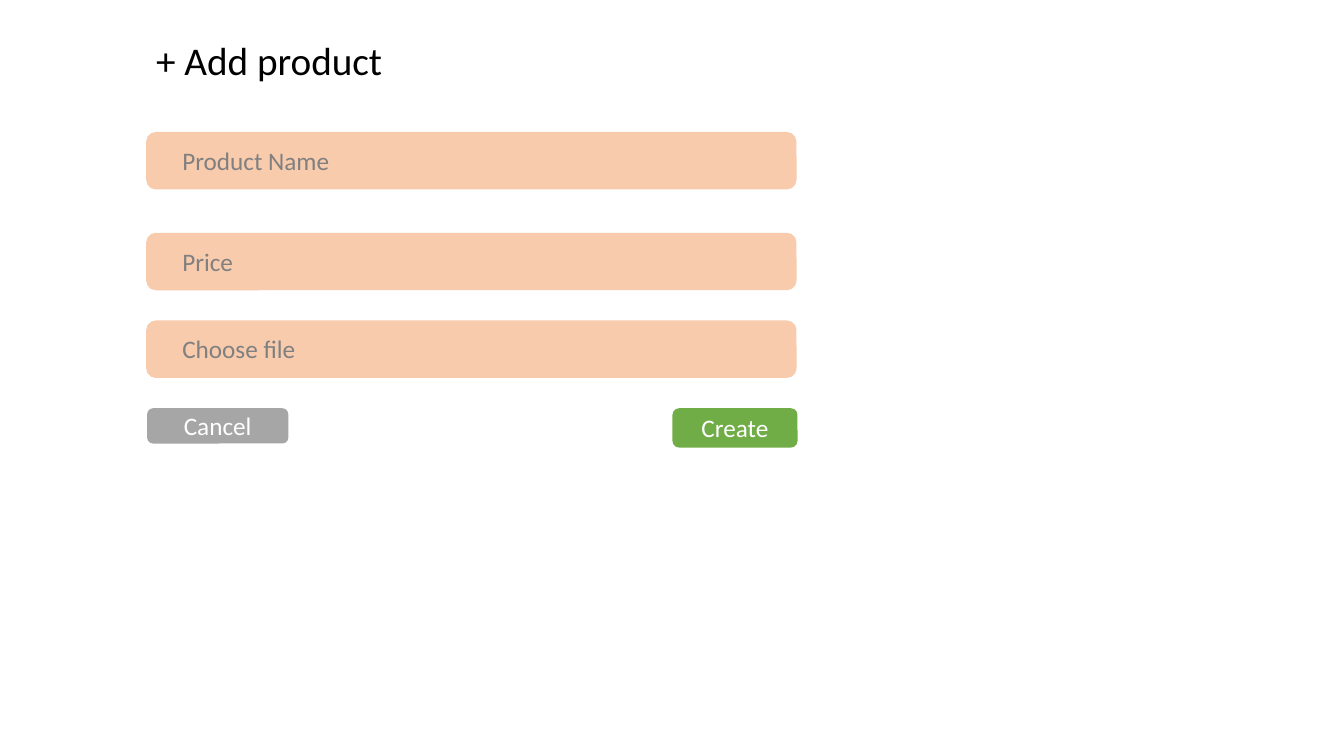
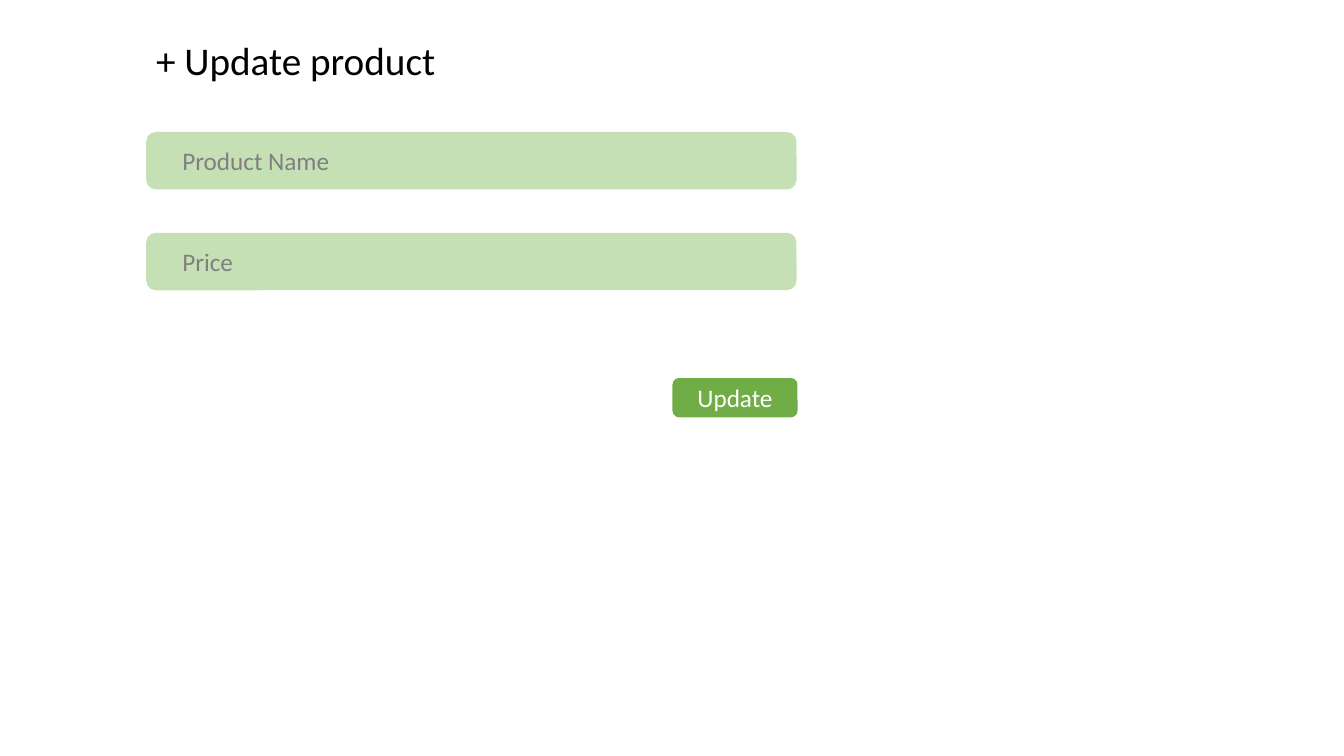
from dataclasses import dataclass

from pptx import Presentation
from pptx.dml.color import RGBColor
from pptx.enum.shapes import MSO_SHAPE as Shape
from pptx.enum.text import MSO_ANCHOR as Anchor, MSO_AUTO_SIZE as AutoSize, PP_ALIGN as Align
from pptx.slide import Slide
from pptx.text.text import TextFrame
from pptx.util import Emu, Pt

EMU_PER_PX = 9144
BLACK = RGBColor(0x00, 0x00, 0x00)
WHITE = RGBColor(0xFF, 0xFF, 0xFF)
HINT_GRAY = RGBColor(0x80, 0x80, 0x80)
CANCEL_GRAY = RGBColor(0xA6, 0xA6, 0xA6)
GREEN = RGBColor(0x70, 0xAD, 0x47)
PEACH = RGBColor(0xF8, 0xCB, 0xAD)
PALE_GREEN = RGBColor(0xC5, 0xE0, 0xB4)

FONT = "Calibri"
LEFT = 145
FIELD_W, FIELD_H = 645, 57
HINT_DX, HINT_DY = 26, 8


@dataclass(frozen=True)
class Box:
    x: int
    y: int
    w: int
    h: int

    def emu(self) -> tuple[Emu, ...]:
        return tuple(Emu(v * EMU_PER_PX) for v in (self.x, self.y, self.w, self.h))


@dataclass(frozen=True)
class Field:
    hint: str
    y: int


@dataclass(frozen=True)
class Button:
    text: str
    box: Box
    fill: RGBColor


@dataclass(frozen=True)
class Form:
    title: str
    title_w: int
    field_fill: RGBColor
    fields: tuple[Field, ...]
    buttons: tuple[Button, ...]


NAME = Field("Product Name", 131)
PRICE = Field("Price", 231)
FILE = Field("Choose file", 318)


def submit(text: str, y: int) -> Button:
    return Button(text, Box(667, y, 124, 39), GREEN)


FORMS = (
    Form("+ Add product", 273, PEACH, (NAME, PRICE, FILE),
         (submit("Create", 405), Button("Cancel", Box(146, 405, 140, 35), CANCEL_GRAY))),
    Form("+ Update product", 328, PALE_GREEN, (NAME, PRICE), (submit("Update", 375),)),
)


def write(tf: TextFrame, text: str, size: int, color: RGBColor) -> None:
    tf.word_wrap = True
    p = tf.paragraphs[0]
    p.text = text
    p.font.name = FONT
    p.font.size = Pt(size)
    p.font.color.rgb = color


def add_label(s: Slide, box: Box, text: str, size: int, color: RGBColor) -> None:
    tf = s.shapes.add_textbox(*box.emu()).text_frame
    write(tf, text, size, color)
    tf.auto_size = AutoSize.SHAPE_TO_FIT_TEXT


def add_panel(s: Slide, box: Box, fill: RGBColor) -> TextFrame:
    sp = s.shapes.add_shape(Shape.ROUNDED_RECTANGLE, *box.emu())
    sp.shadow.inherit = False
    sp.fill.solid()
    sp.fill.fore_color.rgb = fill
    sp.line.fill.background()
    return sp.text_frame


def add_field(s: Slide, field: Field, fill: RGBColor) -> None:
    add_panel(s, Box(LEFT, field.y, FIELD_W, FIELD_H), fill)
    add_label(s, Box(LEFT + HINT_DX, field.y + HINT_DY, 194, 40), field.hint, 18, HINT_GRAY)


def add_button(s: Slide, button: Button) -> None:
    tf = add_panel(s, button.box, button.fill)
    write(tf, button.text, 18, WHITE)
    tf.vertical_anchor = Anchor.MIDDLE
    tf.paragraphs[0].alignment = Align.CENTER


def add_form(s: Slide, form: Form) -> None:
    add_label(s, Box(LEFT, 31, form.title_w, 57), form.title, 28, BLACK)
    for field in form.fields:
        add_field(s, field, form.field_fill)
    for button in form.buttons:
        add_button(s, button)


def main() -> None:
    prs = Presentation()
    prs.slide_width = Emu(1333 * EMU_PER_PX)
    prs.slide_height = Emu(750 * EMU_PER_PX)
    for form in FORMS:
        add_form(prs.slides.add_slide(prs.slide_layouts[6]), form)
    prs.save("out.pptx")


if __name__ == "__main__":
    main()
